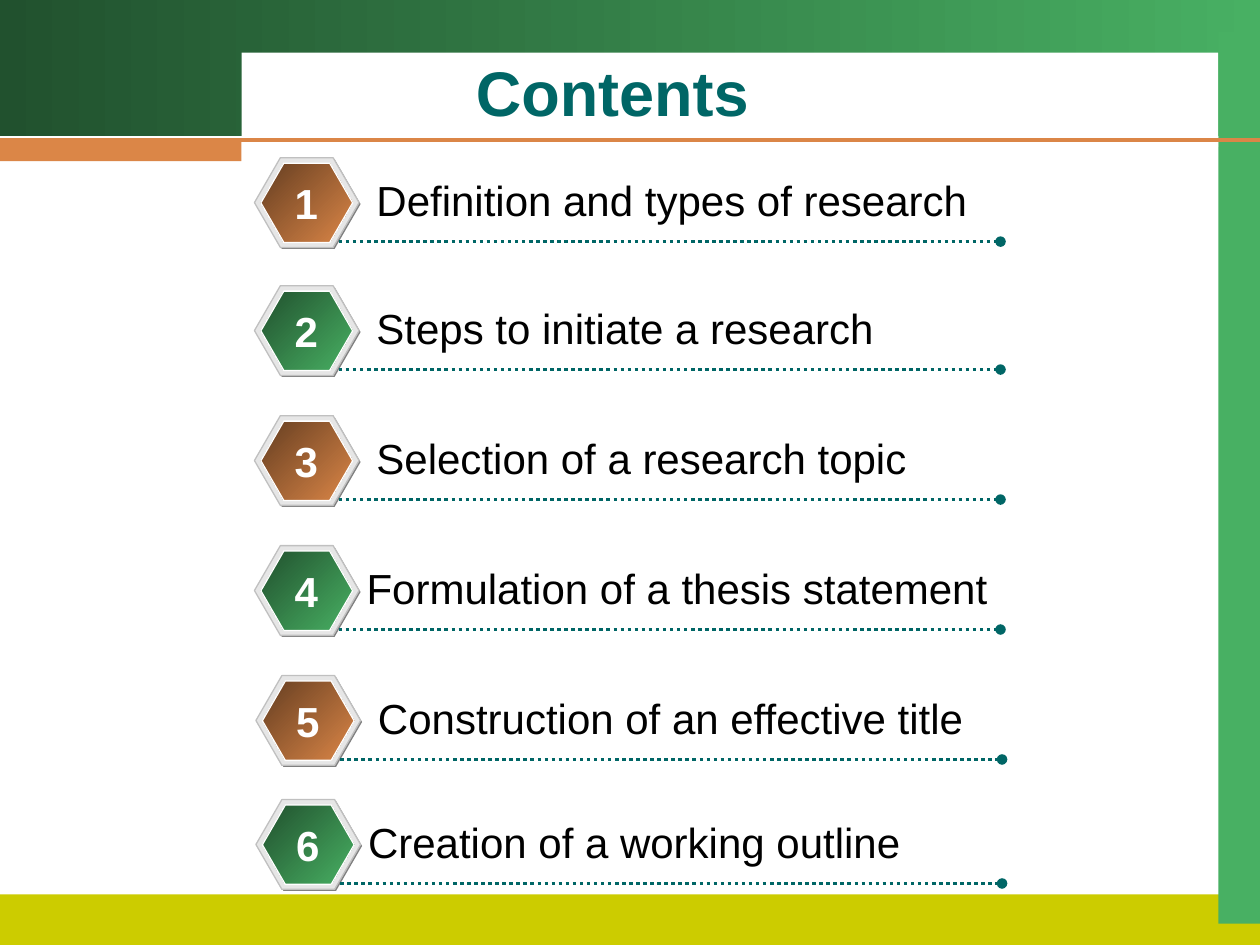
from dataclasses import dataclass

from lxml import etree
from pptx import Presentation
from pptx.dml.color import RGBColor
from pptx.enum.dml import MSO_LINE
from pptx.enum.shapes import MSO_CONNECTOR, MSO_SHAPE
from pptx.enum.text import MSO_ANCHOR, MSO_AUTO_SIZE, PP_ALIGN
from pptx.oxml.ns import qn
from pptx.util import Cm, Pt

RECT, HEXAGON = MSO_SHAPE.RECTANGLE, MSO_SHAPE.HEXAGON
STRAIGHT, DOTTED = MSO_CONNECTOR.STRAIGHT, MSO_LINE.ROUND_DOT
LEFT, CENTER = PP_ALIGN.LEFT, PP_ALIGN.CENTER
MIDDLE, FIT_SHAPE = MSO_ANCHOR.MIDDLE, MSO_AUTO_SIZE.SHAPE_TO_FIT_TEXT


@dataclass(frozen=True)
class Theme:
    font: str = "Arial"
    title_size: int = 36
    body_size: int = 24
    teal: str = "006666"
    text: str = "000000"
    white: str = "FFFFFF"
    green: str = "48B063"
    dark_green: str = "21512E"
    orange: str = "DB8647"
    brown: str = "653E21"
    lime: str = "CCCC00"
    shade: str = "808080"
    rim: str = "E6E6E6"
    rim_line: str = "C0C0C0"


class Deck:
    """Hold the theme and current slide and draw each kind of element."""

    def __init__(self, prs, theme):
        self.theme = theme
        self.s = prs.slides.add_slide(prs.slide_layouts[5])

    def font(self, p, size, color, bold=False):
        p.font.name, p.font.size, p.font.bold = self.theme.font, Pt(size), bold
        p.font.color.rgb = RGBColor.from_string(color)

    def title(self, text, x, y, w, h):
        sp = self.s.shapes.title
        sp.left, sp.top, sp.width, sp.height = Cm(x), Cm(y), Cm(w), Cm(h)
        tf = sp.text_frame
        tf.text, tf.vertical_anchor = text, MIDDLE
        tf.paragraphs[0].alignment = CENTER
        self.font(tf.paragraphs[0], self.theme.title_size, self.theme.teal, True)
        self.s.shapes.element.append(sp.element)

    def shape(self, shapes, kind, x, y, w, h, colors, angle=0, line=None):
        sp = shapes.add_shape(kind, Cm(x), Cm(y), Cm(w), Cm(h))
        sp.shadow.inherit = False
        if len(colors) == 1:
            sp.fill.solid()
            sp.fill.fore_color.rgb = RGBColor.from_string(colors[0])
        else:
            sp.fill.gradient()
            sp.fill.gradient_angle = angle
            for stop, color in zip(sp.fill.gradient_stops, colors):
                stop.color.rgb = RGBColor.from_string(color)
        if line:
            sp.line.color.rgb = RGBColor.from_string(line)
            sp.line.width = Pt(0.75)
        else:
            sp.line.fill.background()
        if kind == HEXAGON:
            sp.adjustments[0] = 0.289

    def line(self, shapes, x1, x2, y, color, width, dotted=False):
        c = shapes.add_connector(STRAIGHT, Cm(x1), Cm(y), Cm(x2), Cm(y))
        c.line.color.rgb = RGBColor.from_string(color)
        c.line.width = Pt(width)
        if dotted:
            c.line.dash_style = DOTTED
            etree.SubElement(c.line._get_or_add_ln(), qn("a:tailEnd"), type="oval")
        etree.SubElement(c.element.spPr, qn("a:effectLst"))

    def text(self, shapes, text, x, y, w, color, align=LEFT, bold=False, wrap=True):
        tf = shapes.add_textbox(Cm(x), Cm(y), Cm(w), Cm(1.27)).text_frame
        tf.text, tf.word_wrap, tf.auto_size = text, wrap, FIT_SHAPE
        tf.paragraphs[0].alignment = align
        self.font(tf.paragraphs[0], self.theme.body_size, color, bold)

    def frame(self):
        t, shapes = self.theme, self.s.shapes
        self.shape(shapes, RECT, 0, 0, 25.4, 2.74, (t.dark_green, t.green))
        self.shape(shapes, RECT, 0, 18.03, 25.4, 1.02, (t.lime,))
        self.shape(shapes, RECT, 24.56, 0.64, 0.84, 17.98, (t.green,))
        self.shape(shapes, RECT, 4.87, 1.06, 19.69, 1.91, (t.white,))
        self.line(shapes, 0, 25.4, 2.82, t.orange, 2.25)
        self.shape(shapes, RECT, 0, 2.82, 4.87, 0.43, (t.orange,))

    def item(self, number, text, x, y, indent, width):
        t, shapes = self.theme, self.s.shapes.add_group_shape().shapes
        colors = (t.brown, t.orange) if number % 2 else (t.dark_green, t.green)
        self.shape(shapes, HEXAGON, x + 0.03, y + 0.03, 2.11, 1.81, (t.shade,))
        self.shape(shapes, HEXAGON, x, y, 2.11, 1.81, (t.rim,), line=t.rim_line)
        self.shape(shapes, HEXAGON, x + 0.13, y + 0.11, 1.85, 1.6, colors, 315, t.white)
        self.line(shapes, x + 1.7, x + 15.04, y + 1.69, t.teal, 2, True)
        self.text(shapes, text, x + indent, y + 0.21, width, t.text)
        self.text(shapes, str(number), x + 0.56, y + 0.27, 0.97, t.white, CENTER, True, False)


ITEMS = [
    ("Definition and types of research", 5.13, 3.18, 2.21, 12.95),
    ("Steps to initiate a research", 5.13, 5.76, 2.21, 12.5),
    ("Selection of a research topic", 5.13, 8.38, 2.21, 12.5),
    ("Formulation of a thesis statement", 5.13, 11, 2.01, 13.36),
    ("Construction of an effective title", 5.16, 13.62, 2.21, 12.93),
    ("Creation of a working outline", 5.16, 16.12, 2.01, 12.9),
]


def main():
    prs = Presentation()
    prs.slide_width, prs.slide_height = Cm(25.4), Cm(19.05)
    deck = Deck(prs, Theme())
    deck.frame()
    deck.title("Contents", 7.34, 0.99, 10.01, 1.7)
    for number, item in enumerate(ITEMS, 1):
        deck.item(number, *item)
    prs.save("out.pptx")


if __name__ == "__main__":
    main()
